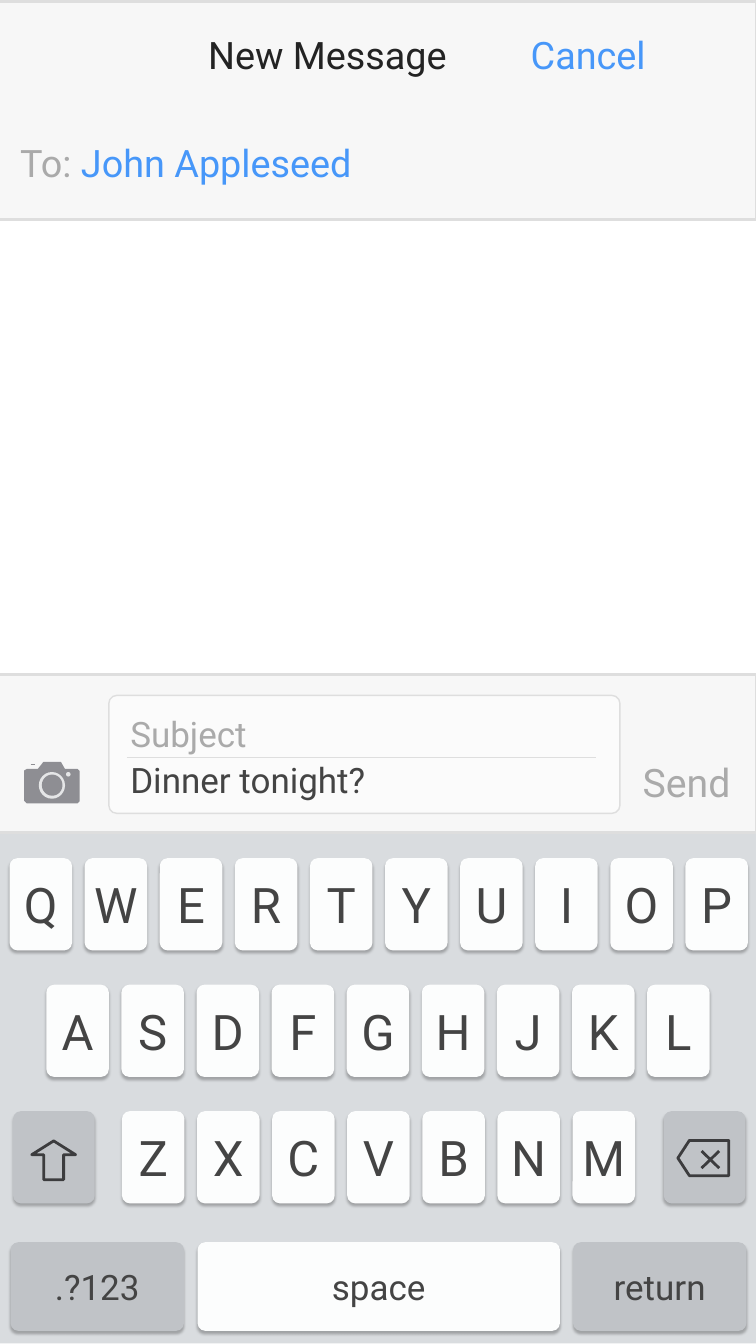
"""Build a phone screen slide with a new message and its keyboard."""
from lxml.etree import SubElement
from pptx import Presentation
from pptx.dml.color import RGBColor
from pptx.enum.shapes import MSO_CONNECTOR, MSO_SHAPE
from pptx.enum.text import MSO_ANCHOR, PP_ALIGN
from pptx.oxml.ns import qn
from pptx.util import Inches, Pt

FONT = "Roboto"
COLORS = {
    "keyboard": "D9DCDF", "bar": "F7F7F7", "border": "DEDEDE", "field": "FBFBFB",
    "key": "FCFDFD", "control": "C0C3C7", "text": "444444", "title": "232323",
    "link": "4797F9", "muted": "AAAAAA", "camera": "8E8E93", "glass": "E5E6E7",
    "icon": "3C3C3E", "shadow": "000000",
}
HEADER = [
    [("\tNew Message", "title"), ("\tCancel", "link")],
    [("To:", "muted"), (" John Appleseed", "link")],
]
HEADER_TABS = [3.73, 10.13]
MESSAGE = [[("Subject", "muted")], [("Dinner tonight?", "text")]]
LETTER_ROWS = [("QWERTYUIOP", 0.19, 17.03), ("ASDFGHJKL", 0.92, 19.54), ("ZXCVBNM", 2.42, 22.05)]
KEY_PITCH, KEY_WIDTH, KEY_HEIGHT = 1.49, 1.24, 1.83
WIDE_KEYS = [
    ("space", 3.92, 24.65, 7.19, 1.76, "key"),
    ("return", 11.37, 24.65, 3.44, 1.76, "control"),
    (".?123", 0.21, 24.65, 3.44, 1.76, "control"),
    ("", 0.26, 22.05, 1.62, KEY_HEIGHT, "control"),
    ("", 13.17, 22.05, 1.62, KEY_HEIGHT, "control"),
]
KEY_RADIUS = 0.155
KEY_ICONS = [
    ((0.68, 22.59, 0.77, 0.87), 270, (0.456, 0.355)),
    ((13.45, 22.63, 1.01, 0.7), 180, (1, 0.326)),
]
DELETE_CROSS = [(14.27, 22.84, 13.92, 23.18), (13.92, 22.84, 14.27, 23.18)]
CAMERA_BODY = [
    (0.48, 15.29), (0.53, 15.26), (0.75, 15.26), (0.86, 15.12), (1.21, 15.12), (1.29, 15.26),
    (1.54, 15.26), (1.58, 15.3), (1.58, 15.9), (1.54, 15.94), (0.53, 15.94), (0.48, 15.89),
]
CAMERA_CIRCLES = [
    ((1.31, 15.32, 0.09, 0.09), "glass"),
    ((0.77, 15.32, 0.52, 0.53), "glass"),
    ((0.83, 15.37, 0.41, 0.42), "camera"),
]


def color(name):
    return RGBColor.from_string(COLORS[name])


def paint(shape, fill=None, line=None, width=0):
    shape.shadow.inherit = False
    if fill:
        shape.fill.solid()
        shape.fill.fore_color.rgb = color(fill)
    else:
        shape.fill.background()
    if line:
        shape.line.color.rgb = color(line)
        shape.line.width = Pt(width)
    else:
        shape.line.fill.background()


def add_shape(shapes, kind, box, adjustments=(), **style):
    shape = shapes.add_shape(kind, *map(Inches, box))
    for index, value in enumerate(adjustments):
        shape.adjustments[index] = value
    paint(shape, **style)
    return shape


def add_line(shapes, ends, line, width):
    connector = shapes.add_connector(MSO_CONNECTOR.STRAIGHT, *map(Inches, ends))
    connector.line.color.rgb = color(line)
    connector.line.width = Pt(width)
    SubElement(connector._element.spPr, qn("a:effectLst"))


def write(shape, paragraphs, size, inset=(0, 0), frame_format=None, tabs=(), **paragraph_format):
    frame = shape.text_frame
    frame.margin_left = frame.margin_right = Inches(inset[0])
    frame.margin_top = frame.margin_bottom = Inches(inset[1])
    settings = {"word_wrap": True, "vertical_anchor": MSO_ANCHOR.MIDDLE, **(frame_format or {})}
    for name, value in settings.items():
        setattr(frame, name, value)
    for index, runs in enumerate(paragraphs):
        paragraph = frame.add_paragraph() if index else frame.paragraphs[0]
        for name, value in {"alignment": PP_ALIGN.LEFT, **paragraph_format}.items():
            setattr(paragraph, name, value)
        if tabs and not index:
            tab_list = SubElement(paragraph._p.get_or_add_pPr(), qn("a:tabLst"))
            for position in tabs:
                SubElement(tab_list, qn("a:tab"), pos=str(Inches(position)), algn="l")
        for text, run_color in runs:
            run = paragraph.add_run()
            run.text = text
            for name, value in {"name": FONT, "size": Pt(size)}.items():
                setattr(run.font, name, value)
            run.font.color.rgb = color(run_color)


def add_key(shapes, label, box, fill, size):
    key = add_shape(shapes, MSO_SHAPE.ROUNDED_RECTANGLE, box, [KEY_RADIUS / min(box[2:])], fill=fill)
    effects = key._element.spPr.find(qn("a:effectLst"))
    shadow = SubElement(effects, qn("a:outerShdw"), blurRad=str(Pt(4)), dist=str(Pt(4)),
                        dir="5400000", algn="t", rotWithShape="0")
    shade = SubElement(shadow, qn("a:srgbClr"), val=COLORS["shadow"])
    SubElement(shade, qn("a:alpha"), val="25000")
    if label:
        write(key, [[(label, "text")]], size, alignment=PP_ALIGN.CENTER)


def add_header(shapes):
    header = add_shape(shapes, MSO_SHAPE.RECTANGLE, (-0.02, 0.03, 15.02, 4.33),
                       fill="bar", line="border", width=4)
    write(header, HEADER, 54, (0.42, 0.42), {"vertical_anchor": MSO_ANCHOR.TOP},
          HEADER_TABS, line_spacing=1.2)
    header.text_frame.paragraphs[1].space_before = Pt(76)


def add_camera(shapes):
    camera = shapes.add_group_shape().shapes
    points = [(Inches(x), Inches(y)) for x, y in CAMERA_BODY]
    builder = camera.build_freeform(*points[0])
    builder.add_line_segments(points[1:], close=True)
    paint(builder.convert_to_shape(), fill="camera")
    add_line(camera, (0.61, 15.17, 0.69, 15.17), "camera", 2)
    for box, fill in CAMERA_CIRCLES:
        add_shape(camera, MSO_SHAPE.OVAL, box, fill=fill)


def add_message(shapes):
    add_shape(shapes, MSO_SHAPE.RECTANGLE, (-0.02, 13.38, 15.02, 3.14),
              fill="bar", line="border", width=4)
    add_camera(shapes)
    field = add_shape(shapes, MSO_SHAPE.ROUNDED_RECTANGLE, (2.16, 13.8, 10.14, 2.34), [0.067],
                      fill="field", line="border", width=2)
    write(field, MESSAGE, 50, (0.38, 0.21), {"vertical_anchor": MSO_ANCHOR.TOP}, line_spacing=1.1)
    add_line(shapes, (2.52, 15.02, 11.82, 15.02), "border", 1)
    send = shapes.add_textbox(*map(Inches, (12.68, 14.97, 2.08, 1.08)))
    write(send, [[("Send", "muted")]], 56, (0.07, 0.07), {"word_wrap": False})


def add_keyboard(shapes):
    for letters, left, top in LETTER_ROWS:
        for column, letter in enumerate(letters):
            box = (left + column * KEY_PITCH, top, KEY_WIDTH, KEY_HEIGHT)
            add_key(shapes, letter, box, "key", 70)
    for label, *box, fill in WIDE_KEYS:
        add_key(shapes, label, box, fill, 50)
    for box, rotation, adjustments in KEY_ICONS:
        arrow = add_shape(shapes, MSO_SHAPE.RIGHT_ARROW, box, adjustments, line="icon", width=4)
        arrow.rotation = rotation
    cross = shapes.add_group_shape().shapes
    for ends in DELETE_CROSS:
        add_line(cross, ends, "icon", 4)


def main():
    presentation = Presentation()
    presentation.slide_width, presentation.slide_height = Inches(15), Inches(26.67)
    shapes = presentation.slides.add_slide(presentation.slide_layouts[6]).shapes
    add_shape(shapes, MSO_SHAPE.RECTANGLE, (-0.09, 16.52, 15.09, 10.14), fill="keyboard")
    add_header(shapes)
    add_message(shapes)
    add_keyboard(shapes)
    presentation.save("out.pptx")


if __name__ == "__main__":
    main()
